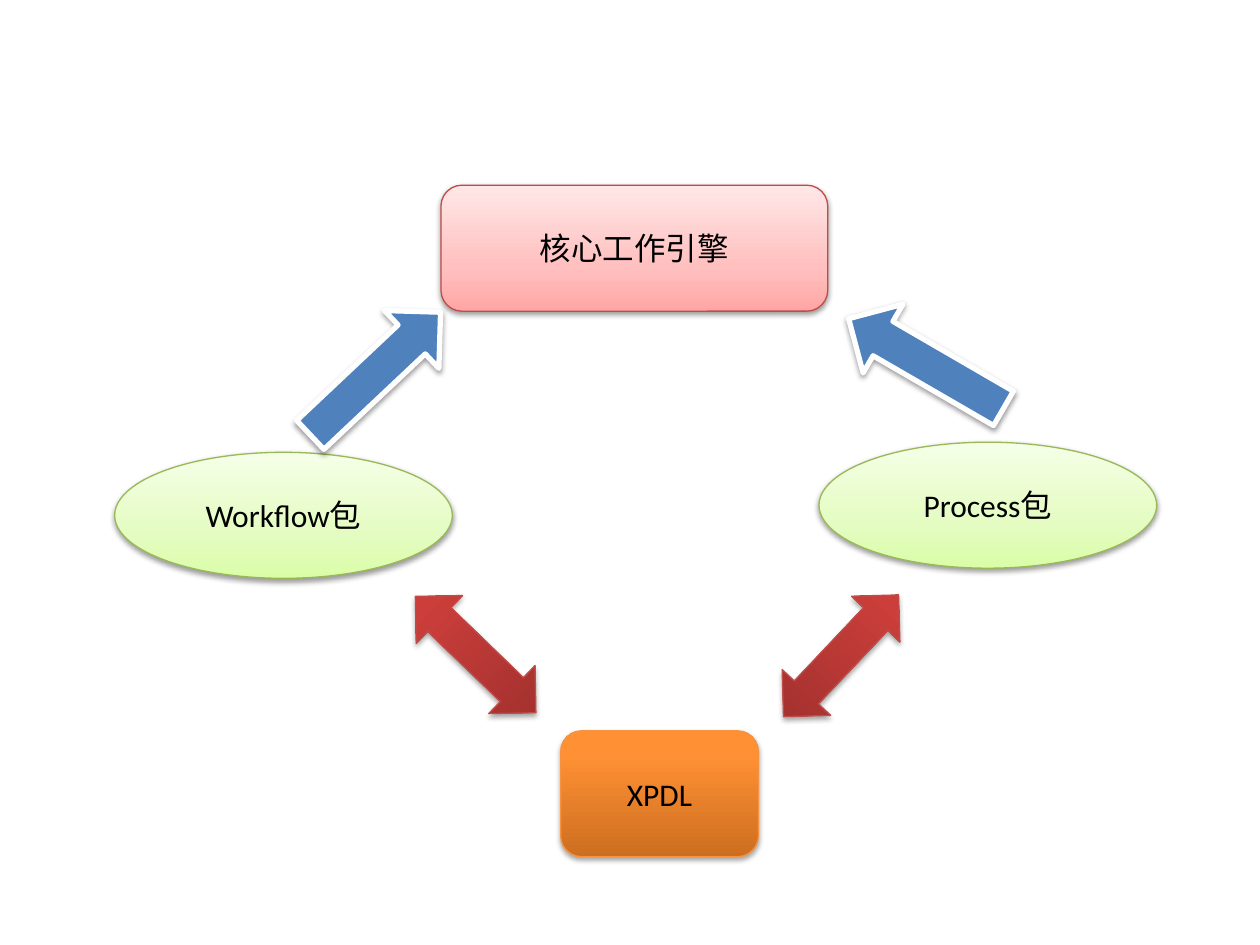
import dataclasses

import lxml.etree
import pptx
import pptx.dml.color
import pptx.enum.shapes
import pptx.enum.text
import pptx.oxml.ns
import pptx.util

KIND = pptx.enum.shapes.MSO_SHAPE
qn = pptx.oxml.ns.qn


@dataclasses.dataclass(frozen=True)
class Look:
    """Fill stops run from bottom to top; shade is opacity and distance."""
    fill: tuple
    line: str
    width: float = 0.75
    shade: tuple = (38, 1.6)


class Theme:
    font = "Calibri"
    size = 18
    ink = "000000"
    blur = 3.1
    pink = Look(((0, "FFA6A5"), (35, "FFC0BF"), (100, "FFE7E7")), "BF4C48")
    green = Look(((0, "DAFDA7"), (35, "E4FCC2"), (100, "F5FFE7")), "98B955")
    orange = Look(((0, "CC6E20"), (80, "FF9034"), (100, "FF9136")), "F69240",
                  shade=(35, 1.8))
    red = Look(((0, "9C2F2D"), (80, "CB3E3A"), (100, "CE3B37")), "BF4C48",
               shade=(35, 1.8))
    blue = Look(((0, "4F81BD"),), "FFFFFF", width=3)


@dataclasses.dataclass(frozen=True)
class Box:
    left: int
    top: int
    width: int
    height: int

    def cell(self, col, row, cols, rows):
        """Return a rectangle on a grid of 100 columns and 75 rows."""
        dx, dy = self.width / 100, self.height / 75
        return (round(self.left + col * dx), round(self.top + row * dy),
                round(cols * dx), round(rows * dy))


def rgb(code):
    return pptx.dml.color.RGBColor.from_string(code)


def add_tint(parent, code):
    return lxml.etree.SubElement(parent, qn("a:srgbClr"), val=code)


def paint(shape, stops):
    fill = shape.fill
    if len(stops) == 1:
        fill.solid()
        fill.fore_color.rgb = rgb(stops[0][1])
        return
    fill.gradient()
    fill.gradient_angle = 90
    ramp = shape.element.spPr.find(qn("a:gradFill")).find(qn("a:gsLst"))
    for old in list(ramp):
        ramp.remove(old)
    for pos, code in stops:
        stop = lxml.etree.SubElement(ramp, qn("a:gs"), pos=str(pos * 1000))
        add_tint(stop, code)


def cast(shape, shade):
    """Give the shape a soft shadow straight below it."""
    alpha, dist = shade
    shape.shadow.inherit = False
    effects = shape.element.spPr.find(qn("a:effectLst"))
    outer = lxml.etree.SubElement(
        effects, qn("a:outerShdw"), blurRad=str(pptx.util.Pt(Theme.blur)),
        dist=str(pptx.util.Pt(dist)), dir="5400000", rotWithShape="0")
    tint = add_tint(outer, Theme.ink)
    lxml.etree.SubElement(tint, qn("a:alpha"), val=str(alpha * 1000))


def draw(slide, kind, rect, look, turn=0):
    shape = slide.shapes.add_shape(kind, *rect)
    shape.rotation = turn
    paint(shape, look.fill)
    shape.line.color.rgb = rgb(look.line)
    shape.line.width = pptx.util.Pt(look.width)
    cast(shape, look.shade)
    return shape


def label(shape, text):
    frame = shape.text_frame
    frame.word_wrap = True
    frame.vertical_anchor = pptx.enum.text.MSO_ANCHOR.MIDDLE
    para = frame.paragraphs[0]
    para.text = text
    para.alignment = pptx.enum.text.PP_ALIGN.CENTER
    para.font.name = Theme.font
    para.font.size = pptx.util.Pt(Theme.size)
    para.font.color.rgb = rgb(Theme.ink)


def add_nodes(slide, box):
    high = 10
    for text, kind, col, row, cols, look in (
        ("核心工作引擎", KIND.ROUNDED_RECTANGLE, 35, 14.7, 30.7, Theme.pink),
        ("Workflow包", KIND.OVAL, 9.1, 35.9, 26.8, Theme.green),
        ("Process包", KIND.OVAL, 65, 35.1, 26.8, Theme.green),
        ("XPDL", KIND.ROUNDED_RECTANGLE, 44.5, 58, 15.7, Theme.orange),
    ):
        label(draw(slide, kind, box.cell(col, row, cols, high), look), text)


def add_arrows(slide, box):
    for kind, size, look, spots in (
        (KIND.RIGHT_ARROW, (14.2, 6.3), Theme.blue,
         ((22.7, 26.5, 316.7), (66.4, 25.7, 210.1))),
        (KIND.UP_DOWN_ARROW, (5.3, 13.3), Theme.red,
         ((35.1, 45.3, 314), (64.1, 45.4, 43.4))),
    ):
        for col, row, turn in spots:
            draw(slide, kind, box.cell(col, row, *size), look, turn)


def main():
    deck = pptx.Presentation()
    deck.slide_width = pptx.util.Inches(10)
    deck.slide_height = pptx.util.Inches(7.5)
    slide = deck.slides.add_slide(deck.slide_layouts[6])
    page = Box(0, 0, deck.slide_width, deck.slide_height)
    add_nodes(slide, page)
    add_arrows(slide, page)
    deck.save("out.pptx")


if __name__ == "__main__":
    main()
